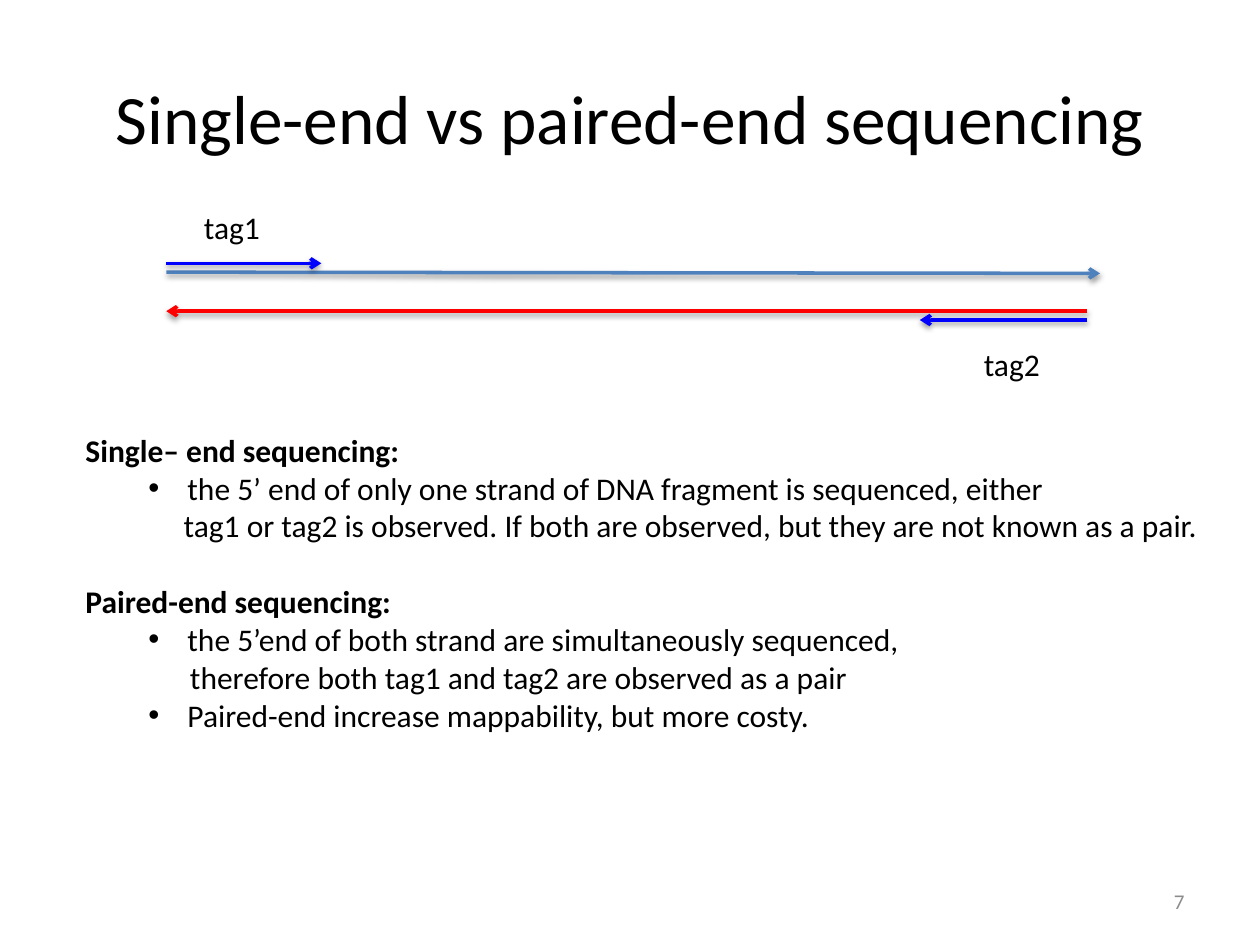
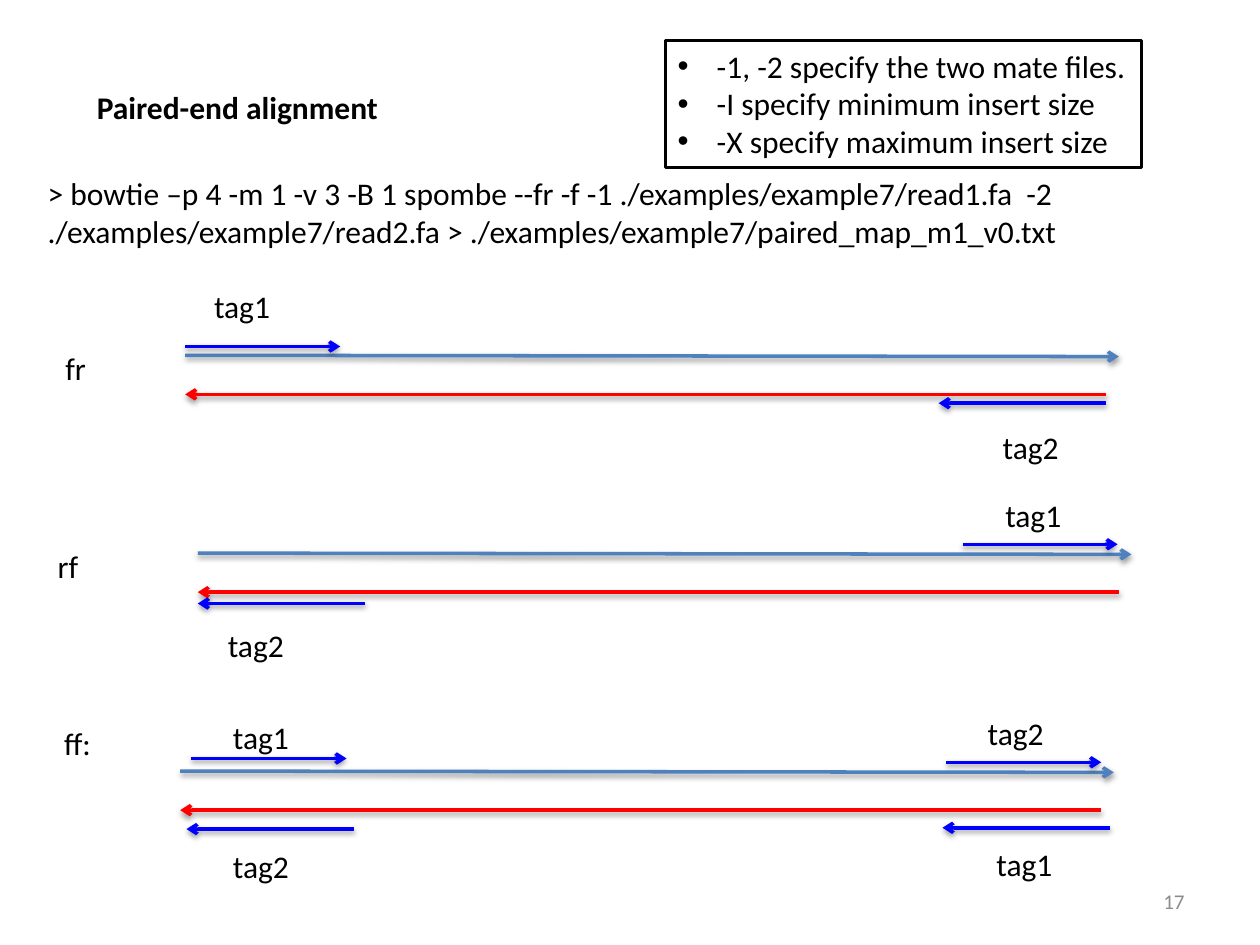
from lxml import etree
from pptx import Presentation
from pptx.dml.color import RGBColor
from pptx.enum import shapes as shp, text as txt
from pptx.oxml.ns import qn
from pptx.util import Inches, Pt

FONT = "Calibri"
BLACK, WHITE, GREY = "000000", "FFFFFF", "8C8C8C"
FORWARD, REVERSE, TAG = "4F81BD", "FF0000", "0000FF"
STRAND_LENGTH, STRAND_GAP = 7.31, 0.31
TAG_LENGTH = {1: 1.23, -1: 1.33}  # by direction: right, left
BULLET_INDENT = 0.31


def color(hex_code):
    return RGBColor.from_string(hex_code)


def style(paragraph, size=18, hex_code=BLACK, bold=False):
    for run in paragraph.runs:
        run.font.name = FONT
        run.font.size = Pt(size)
        run.font.bold = bold
        run.font.color.rgb = color(hex_code)


def indent(paragraph, left, bullet=False):
    props = paragraph._p.get_or_add_pPr()
    props.set("marL", str(Inches(left)))
    props.set("indent", str(Inches(-BULLET_INDENT if bullet else 0)))
    if bullet:
        etree.SubElement(props, qn("a:buFont"), typeface="Arial")
        etree.SubElement(props, qn("a:buChar"), char="•")


def add_text(shapes, content, left, top, width, height=0.4, wrap=False, bold=False):
    box = shapes.add_textbox(Inches(left), Inches(top), Inches(width), Inches(height))
    frame = box.text_frame
    frame.word_wrap = wrap
    frame.text = content
    for paragraph in frame.paragraphs:
        style(paragraph, bold=bold)
    return frame


def add_title(slide, content):
    title = slide.shapes.title
    title.left, title.top = Inches(0.5), Inches(0.3)
    title.width, title.height = Inches(9), Inches(1.25)
    title.text_frame.text = content
    title.text_frame.vertical_anchor = txt.MSO_ANCHOR.MIDDLE
    heading = title.text_frame.paragraphs[0]
    heading.alignment = txt.PP_ALIGN.CENTER
    style(heading, 39.6)


def add_page_number(slide, number):
    frame = add_text(slide.shapes, str(number), 7.17, 6.95, 2.33, wrap=True)
    frame.vertical_anchor = txt.MSO_ANCHOR.MIDDLE
    frame.paragraphs[0].alignment = txt.PP_ALIGN.RIGHT
    style(frame.paragraphs[0], 12, GREY)


def add_arrow(shapes, start, end, hex_code):
    arrow = shapes.add_connector(shp.MSO_CONNECTOR.STRAIGHT,
                                 *(Inches(v) for v in start + end))
    arrow.line.color.rgb = color(hex_code)
    arrow.line.width = Pt(2)
    etree.SubElement(arrow.line._get_or_add_ln(), qn("a:tailEnd"), type="arrow")
    # Soft shadow straight below the arrow
    effects = etree.SubElement(arrow._element.spPr, qn("a:effectLst"))
    shadow = etree.SubElement(effects, qn("a:outerShdw"), blurRad=str(Pt(3.1)),
                              dist=str(Pt(1.6)), dir="5400000", rotWithShape="0")
    shade = etree.SubElement(shadow, qn("a:srgbClr"), val=BLACK)
    etree.SubElement(shade, qn("a:alpha"), val="38000")


def add_fragment(shapes, left, top, tags):
    """Draw both strands, then tags of (label, label place, arrow start, direction)."""
    right, lower = left + STRAND_LENGTH, top + STRAND_GAP
    add_arrow(shapes, (left, top), (right + 0.1, top + 0.01), FORWARD)
    add_arrow(shapes, (right, lower), (left, lower), REVERSE)
    for label, place, (x, y), direction in tags:
        add_arrow(shapes, (x, y), (x + direction * TAG_LENGTH[direction], y), TAG)
        add_text(shapes, label, *place, 0.65)


def add_explanation(slide):
    # (text, left indent, bullet, bold, space before)
    lines = [
        ("Single– end sequencing:", 0, False, True, 0),
        ("the 5’ end of only one strand of DNA fragment is sequenced, either",
         0.81, True, False, 0),
        ("tag1 or tag2 is observed. If both are observed, but they are not known as a pair.",
         0.78, False, False, 0),
        ("Paired-end sequencing:", 0, False, True, 21.7),
        ("the 5’end of both strand are simultaneously sequenced,", 0.81, True, False, 0),
        ("therefore both tag1 and tag2 are observed as a pair", 0.83, False, False, 0),
        ("Paired-end increase mappability, but more costy.", 0.81, True, False, 0),
    ]
    frame = add_text(slide.shapes, "\n".join(line[0] for line in lines),
                     0.58, 3.37, 9.3, 2.52, wrap=True)
    for paragraph, (_, left, bullet, bold, space) in zip(frame.paragraphs, lines):
        paragraph.space_before = Pt(space)
        indent(paragraph, left, bullet)
        style(paragraph, bold=bold)


def add_option_box(slide, options):
    box = slide.shapes.add_shape(shp.MSO_SHAPE.RECTANGLE, Inches(5.28), Inches(0.32),
                                 Inches(3.78), Inches(1.01))
    box.shadow.inherit = False
    box.fill.solid()
    box.fill.fore_color.rgb = color(WHITE)
    box.line.color.rgb = color(BLACK)
    box.line.width = Pt(2)
    frame = box.text_frame
    frame.word_wrap = False
    frame.vertical_anchor = txt.MSO_ANCHOR.TOP
    frame.text = "\n".join(options)
    for paragraph in frame.paragraphs:
        paragraph.alignment = txt.PP_ALIGN.LEFT
        indent(paragraph, BULLET_INDENT, bullet=True)
        style(paragraph)


def build_comparison(prs):
    slide = prs.slides.add_slide(prs.slide_layouts[5])
    add_title(slide, "Single-end vs paired-end sequencing")
    add_fragment(slide.shapes, 1.32, 2.16, [
        ("tag1", (1.52, 1.6), (1.32, 2.09), 1),
        ("tag2", (7.71, 2.69), (8.63, 2.54), -1),
    ])
    add_explanation(slide)
    add_page_number(slide, 7)


def build_alignment(prs):
    slide = prs.slides.add_slide(prs.slide_layouts[6])
    add_text(slide.shapes, "Paired-end alignment", 0.67, 0.65, 2.47, bold=True)
    add_text(slide.shapes,
             "> bowtie –p 4 -m 1 -v 3 -B 1 spombe --fr -f -1 "
             "./examples/example7/read1.fa  -2 ./examples/example7/read2.fa "
             "> ./examples/example7/paired_map_m1_v0.txt",
             0.28, 1.33, 9.54, 0.71, wrap=True)

    # Mate orientations: name, its place and width, strand origin, tags
    orientations = [
        ("fr", (0.42, 2.72, 0.37), (1.47, 2.82), [
            ("tag1", (1.6, 2.23), (1.47, 2.75), 1),
            ("tag2", (7.86, 3.35), (8.78, 3.2), -1)]),
        ("rf", (0.36, 4.29, 0.37), (1.57, 4.39), [
            ("tag1", (7.88, 3.89), (7.64, 4.32), 1),
            ("tag2", (1.71, 4.92), (2.9, 4.79), -1)]),
        ("ff:", (0.41, 5.7, 0.42), (1.43, 6.12), [
            ("tag1", (1.75, 5.65), (1.52, 6.02), 1),
            ("tag2", (7.74, 5.62), (7.51, 6.05), 1),
            ("tag2", (1.75, 6.67), (2.81, 6.58), -1),
            ("tag1", (7.81, 6.66), (8.81, 6.57), -1)]),
    ]
    for name, place, origin, tags in orientations:
        group = slide.shapes.add_group_shape()
        add_text(group.shapes, name, *place)
        add_fragment(group.shapes, *origin, tags)

    add_option_box(slide, ["-1, -2 specify the two mate files.",
                           "-I specify minimum insert size",
                           "-X specify maximum insert size"])
    add_page_number(slide, 17)


def main():
    prs = Presentation()
    prs.slide_width, prs.slide_height = Inches(10), Inches(7.5)
    build_comparison(prs)
    build_alignment(prs)
    prs.save("out.pptx")


if __name__ == "__main__":
    main()
